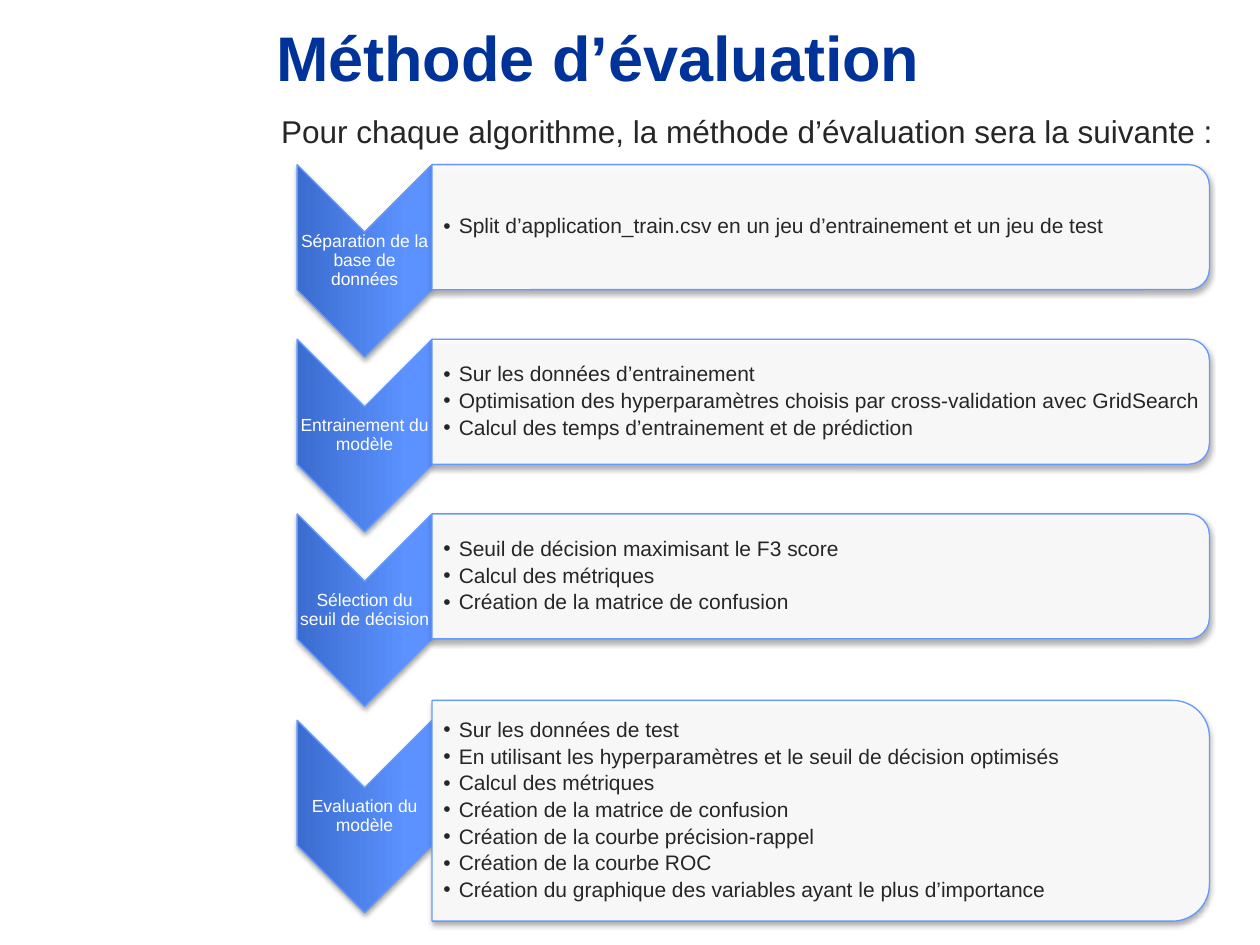
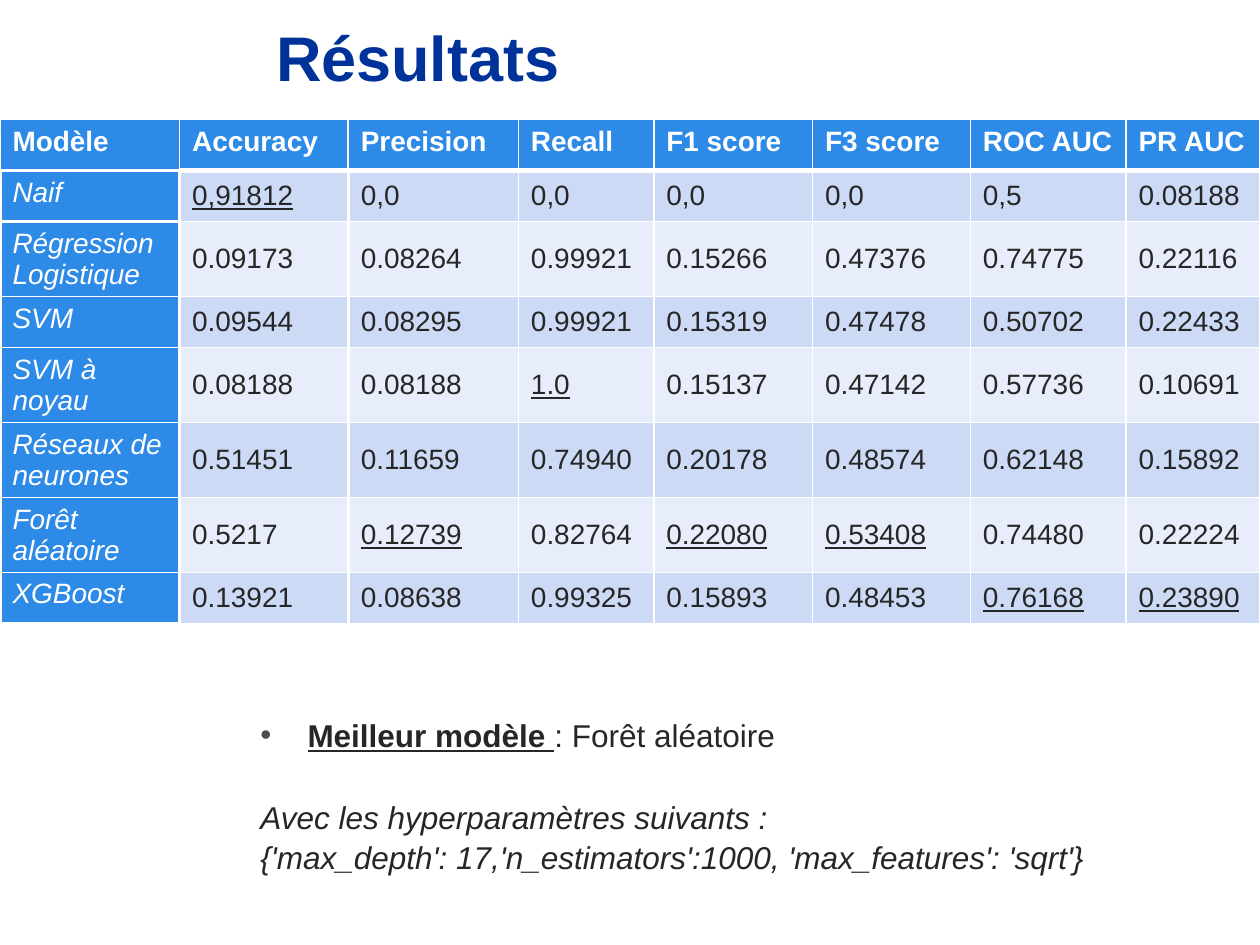
from copy import deepcopy

from lxml.etree import SubElement
from pptx import Presentation
from pptx.dml.color import RGBColor
from pptx.enum.shapes import MSO_SHAPE as Kind
from pptx.enum.text import MSO_ANCHOR as Anchor, PP_ALIGN as Align
from pptx.oxml import parse_xml
from pptx.oxml.ns import nsdecls, qn
from pptx.util import Cm, Pt

FONT = "Arial"
WHITE = RGBColor(0xFF, 0xFF, 0xFF)
NAVY = RGBColor(0x00, 0x33, 0x99)
INK = RGBColor(0x26, 0x26, 0x26)
GREY = RGBColor(0x4D, 0x4D, 0x4D)
EDGE = RGBColor(0x66, 0x99, 0xFF)
HEAD = RGBColor(0x2D, 0x8A, 0xE7)
BANDS = [RGBColor(0xCD, 0xDA, 0xF5), RGBColor(0xE7, 0xED, 0xFA)]
BLUES = [
    (0, RGBColor(0x3B, 0x6C, 0xCF)),
    (0.8, RGBColor(0x5B, 0x92, 0xFF)),
    (1, RGBColor(0x5D, 0x93, 0xFF)),
]

STEPS = [
    ("Séparation de la base de données", [
        "Split d’application_train.csv en un jeu d’entrainement et un jeu de test",
    ]),
    ("Entrainement du modèle", [
        "Sur les données d’entrainement",
        "Optimisation des hyperparamètres choisis par cross-validation avec GridSearch",
        "Calcul des temps d’entrainement et de prédiction",
    ]),
    ("Sélection du seuil de décision", [
        "Seuil de décision maximisant le F3 score",
        "Calcul des métriques",
        "Création de la matrice de confusion",
    ]),
    ("Evaluation du modèle", [
        "Sur les données de test",
        "En utilisant les hyperparamètres et le seuil de décision optimisés",
        "Calcul des métriques",
        "Création de la matrice de confusion",
        "Création de la courbe précision-rappel",
        "Création de la courbe ROC",
        "Création du graphique des variables ayant le plus d’importance",
    ]),
]

SCORES = [
    ["Modèle", "Accuracy", "Precision", "Recall", "F1 score", "F3 score", "ROC AUC", "PR AUC"],
    ["Naif", "0,91812", "0,0", "0,0", "0,0", "0,0", "0,5", "0.08188"],
    ["Régression Logistique", "0.09173", "0.08264", "0.99921", "0.15266", "0.47376", "0.74775", "0.22116"],
    ["SVM", "0.09544", "0.08295", "0.99921", "0.15319", "0.47478", "0.50702", "0.22433"],
    ["SVM à noyau", "0.08188", "0.08188", "1.0", "0.15137", "0.47142", "0.57736", "0.10691"],
    ["Réseaux de neurones", "0.51451", "0.11659", "0.74940", "0.20178", "0.48574", "0.62148", "0.15892"],
    ["Forêt aléatoire", "0.5217", "0.12739", "0.82764", "0.22080", "0.53408", "0.74480", "0.22224"],
    ["XGBoost", "0.13921", "0.08638", "0.99325", "0.15893", "0.48453", "0.76168", "0.23890"],
]
WIDTHS = [3.62, 3.4, 3.43, 2.73, 3.2, 3.18, 3.14, 2.7]
LOW, TALL = 1.03, 1.51


def write(frame, words, size=18, color=INK, bold=False, italic=False, under=False,
          align=None, before=0, after=0, lead=None, left=0, hang=0, dot=None, join=False):
    """Add a paragraph, or with join a run at the end of the last one."""
    para = frame.paragraphs[-1]
    if not join:
        if para.runs:
            para = frame.add_paragraph()
        para.alignment = align
        para.space_before, para.space_after = Pt(before), Pt(after)
        para.line_spacing = lead
        props = para._p.get_or_add_pPr()
        props.set("marL", str(Cm(left)))
        props.set("indent", str(Cm(-hang)))
        if dot:
            tint = SubElement(SubElement(props, qn("a:buClr")), qn("a:srgbClr"))
            tint.set("val", str(dot))
            SubElement(props, qn("a:buFont")).set("typeface", FONT)
            SubElement(props, qn("a:buChar")).set("char", "•")
    run = para.add_run()
    run.text = words
    font = run.font
    font.name, font.size, font.color.rgb = FONT, Pt(size), color
    font.bold, font.italic, font.underline = bold, italic, under


def add_box(slide, left, top, width, height, anchor=Anchor.TOP, pads=(0.25, 0.13, 0.25, 0.13)):
    """Add an empty text box; pads are left, top, right, bottom."""
    box = slide.shapes.add_textbox(Cm(left), Cm(top), Cm(width), Cm(height))
    frame = box.text_frame
    frame.word_wrap, frame.vertical_anchor = True, anchor
    (frame.margin_left, frame.margin_top,
     frame.margin_right, frame.margin_bottom) = map(Cm, pads)
    return frame


def add_page(deck, name):
    slide = deck.slides.add_slide(deck.slide_layouts[5])
    title = slide.shapes.title
    title.left, title.top, title.width, title.height = Cm(5.31), Cm(0.13), Cm(18.21), Cm(2)
    title.text_frame.vertical_anchor = Anchor.MIDDLE
    write(title.text_frame, name, size=36, color=NAVY, bold=True, align=Align.LEFT)
    return slide


def turned(slide, kind, left, top, width, height):
    """Add a shape turned by 90° that fills the given box, with edge and shadow."""
    shift = (width - height) / 2
    shape = slide.shapes.add_shape(
        kind, Cm(left + shift), Cm(top - shift), Cm(height), Cm(width))
    shape.rotation = 90
    shape.line.color.rgb, shape.line.width = EDGE, Pt(0.75)
    shape.shadow.inherit = False
    shape._element.spPr.find(qn("a:effectLst")).append(parse_xml(
        f'<a:outerShdw {nsdecls("a")} blurRad="{Pt(3.1)}" dist="{Pt(1.8)}" dir="5400000" '
        'rotWithShape="0"><a:srgbClr val="000000"><a:alpha val="35000"/></a:srgbClr>'
        '</a:outerShdw>'))
    return shape


def add_arrow(slide, words, left, top, width, height):
    fill = turned(slide, Kind.CHEVRON, left, top, width, height).fill
    fill.gradient()
    fill.gradient_angle = 90
    stops = fill._xPr.find(".//" + qn("a:gsLst"))
    stops.append(deepcopy(stops[0]))
    for stop, (place, color) in zip(fill.gradient_stops, BLUES):
        stop.position, stop.color.rgb = place, color
    frame = add_box(slide, left, top, width, height, Anchor.MIDDLE, [0.03] * 4)
    write(frame, words, size=10, color=WHITE, align=Align.CENTER, lead=0.9)


def add_card(slide, items, left, top, width, height):
    card = turned(slide, Kind.ROUND_2_SAME_RECTANGLE, left, top, width, height)
    card.fill.solid()
    card.fill.fore_color.rgb = WHITE
    tint = card._element.spPr.find(qn("a:solidFill"))[0]
    SubElement(tint, qn("a:alpha")).set("val", "90000")
    frame = add_box(slide, left, top, width - 0.1, height, Anchor.MIDDLE,
                    (0.23, 0.03, 0.03, 0.03))
    for item in items:
        write(frame, item, size=12, lead=0.9, after=2.3, left=0.31, hang=0.31, dot=INK)


def add_steps(slide, left, top):
    wide, pitch = 2.72, 3.52
    for i, (name, items) in enumerate(STEPS):
        last = i == len(STEPS) - 1
        y = top + i * pitch + (0.64 if last else 0)
        add_arrow(slide, name, left, y, wide, 3.88)
        add_card(slide, items, left + wide, y - (0.4 if last else 0),
                 15.67, 4.45 if last else 2.52)


def set_rims(cell, sides):
    """Draw white borders; sides are widths for left, right, top, bottom."""
    props = cell._tc.get_or_add_tcPr()
    for i, (side, width) in enumerate(zip("LRTB", sides)):
        props.insert(i, parse_xml(
            f'<a:ln{side} {nsdecls("a")} w="{Pt(width)}"><a:solidFill>'
            f'<a:srgbClr val="{WHITE}"/></a:solidFill></a:ln{side}>'))


def number(words):
    return float(words.replace(",", "."))


def add_scores(slide, left, top):
    """Add the table of scores, with the best value of each column underlined."""
    high = [TALL if " " in row[0] else LOW for row in SCORES]
    table = slide.shapes.add_table(
        len(SCORES), len(WIDTHS), Cm(left), Cm(top), Cm(sum(WIDTHS)), Cm(sum(high))).table
    for col, width in zip(table.columns, WIDTHS):
        col.width = Cm(width)
    for row, height in zip(table.rows, high):
        row.height = Cm(height)
    best = [max(map(number, col[1:])) if c else None for c, col in enumerate(zip(*SCORES))]
    thin, mid, bold = 0.96, 2.21, 3
    for r, row in enumerate(SCORES):
        for c, words in enumerate(row):
            cell = table.cell(r, c)
            top_row, side = r == 0, c == 0
            label = top_row or side
            cell.fill.solid()
            cell.fill.fore_color.rgb = HEAD if label else BANDS[(r - 1) % 2]
            cell.vertical_anchor = Anchor.TOP if label else Anchor.MIDDLE
            write(cell.text_frame, words, size=16, color=WHITE if label else INK,
                  bold=top_row, italic=side and not top_row,
                  under=not label and number(words) == best[c])
            set_rims(cell, (
                mid if r and c < 3 else thin,
                mid if r and c < 2 else thin,
                (mid if side else bold) if r == 1 else mid if side and r == 2 else thin,
                (mid if side else bold) if top_row
                else mid if side and r in (1, len(SCORES) - 1) else thin))


def add_verdict(slide, left, top):
    frame = add_box(slide, left, top, 20.9, 4.19)
    write(frame, "Meilleur modèle ", bold=True, under=True, align=Align.JUSTIFY,
          before=3.6, left=0.95, hang=0.95, dot=GREY)
    write(frame, ": Forêt aléatoire", join=True)
    write(frame, "Avec les hyperparamètres suivants :", italic=True, before=25.6)
    write(frame, "{'max_depth': 17,'n_estimators':1000, 'max_features': 'sqrt'}",
          italic=True, before=1)


def main():
    deck = Presentation()
    deck.slide_width, deck.slide_height = Cm(25.4), Cm(19.05)

    method = add_page(deck, "Méthode d’évaluation")
    intro = add_box(method, 4.78, 2.13, 20.62, 1)
    write(intro, "Pour chaque algorithme, la méthode d’évaluation sera la suivante :",
          align=Align.JUSTIFY, before=3.6, left=0.64)
    add_steps(method, 5.99, 3.32)

    results = add_page(deck, "Résultats")
    add_scores(results, 0, 2.41)
    add_verdict(results, 5, 14.3)

    deck.save("out.pptx")


if __name__ == "__main__":
    main()
